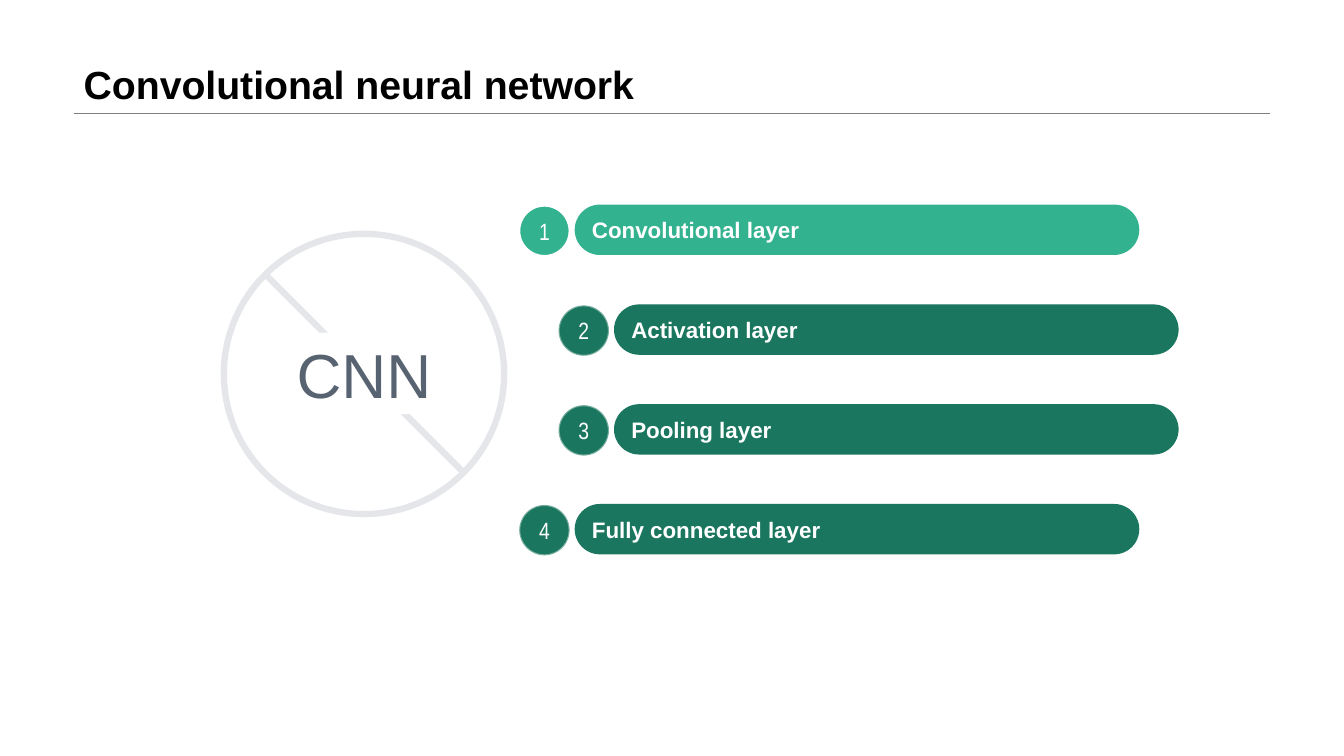
from dataclasses import dataclass

from lxml import etree
from pptx import Presentation
from pptx.dml.color import RGBColor
from pptx.enum.shapes import MSO_CONNECTOR, MSO_SHAPE
from pptx.enum.text import MSO_ANCHOR, PP_ALIGN
from pptx.oxml.ns import qn
from pptx.shapes.autoshape import Shape
from pptx.slide import Slide
from pptx.util import Inches, Pt

WHITE, BLACK, RULE_GREY = "FFFFFF", "000000", "808080"
RING_GREY, TEXT_GREY = "E4E6EA", "586371"
LIGHT_GREEN, DARK_GREEN = "33B290", "1A765E"

FIRST_TOP, PITCH = 2.03, 0.99
BAR_WIDTH, ROW_HEIGHT = 5.6, 0.5
BAR_OFFSET = 0.55  # from the left of a badge to the left of its bar


@dataclass
class Layer:
    name: str
    left: float
    color: str = DARK_GREEN
    outline_opacity: int = 40


LAYERS = [
    Layer("Convolutional layer", 5.15, LIGHT_GREEN, 100),
    Layer("Activation layer", 5.54),
    Layer("Pooling layer", 5.54),
    Layer("Fully connected layer", 5.15),
]


def rgb(color: str) -> RGBColor:
    return RGBColor.from_string(color)


def write_text(shape: Shape, text: str, *, size: float, color: str = WHITE,
               font: str = "Arial", bold: bool = False,
               align: PP_ALIGN = PP_ALIGN.CENTER,
               anchor: MSO_ANCHOR = MSO_ANCHOR.MIDDLE,
               wrap: bool = True, spacing: float = 1.0) -> None:
    frame = shape.text_frame
    frame.word_wrap = wrap
    frame.vertical_anchor = anchor
    paragraph = frame.paragraphs[0]
    paragraph.alignment = align
    paragraph.line_spacing = spacing
    run = paragraph.add_run()
    run.text = text
    run.font.name = font
    run.font.size = Pt(size)
    run.font.bold = bold
    run.font.color.rgb = rgb(color)


def add_block(slide: Slide, kind: MSO_SHAPE, left: float, top: float,
              width: float, height: float, *, fill: str | None = None,
              line: str | None = None, line_width: float = 1.5,
              line_opacity: int = 100) -> Shape:
    shape = slide.shapes.add_shape(
        kind, Inches(left), Inches(top), Inches(width), Inches(height))
    shape.shadow.inherit = False
    if fill:
        shape.fill.solid()
        shape.fill.fore_color.rgb = rgb(fill)
    else:
        shape.fill.background()
    if line:
        shape.line.color.rgb = rgb(line)
        shape.line.width = Pt(line_width)
        if line_opacity < 100:
            line_color = shape.line._get_or_add_ln().find(f".//{qn('a:srgbClr')}")
            alpha = etree.SubElement(line_color, qn("a:alpha"))
            alpha.set("val", str(line_opacity * 1000))
    else:
        shape.line.fill.background()
    return shape


def add_line(slide: Slide, start: tuple[float, float], end: tuple[float, float],
             color: str, width: float) -> None:
    connector = slide.shapes.add_connector(
        MSO_CONNECTOR.STRAIGHT, *map(Inches, start + end))
    connector.line.color.rgb = rgb(color)
    connector.line.width = Pt(width)
    etree.SubElement(connector._element.spPr, qn("a:effectLst"))


def add_title(slide: Slide, text: str) -> None:
    title = slide.shapes.title
    title.left, title.top = Inches(0.73), Inches(0)
    title.width, title.height = Inches(11.87), Inches(1.12)
    write_text(title, text, size=28, color=BLACK, bold=True, spacing=0.9,
               align=PP_ALIGN.LEFT, anchor=MSO_ANCHOR.BOTTOM)
    add_line(slide, (0.73, 1.12), (12.6, 1.12), RULE_GREY, 0.25)


def add_emblem(slide: Slide, text: str) -> None:
    add_line(slide, (2.63, 2.72), (4.6, 4.69), RING_GREY, 4.5)
    add_block(slide, MSO_SHAPE.OVAL, 2.22, 2.32, 2.78, 2.78,
              line=RING_GREY, line_width=4.5)
    label = add_block(slide, MSO_SHAPE.RECTANGLE, 2.41, 3.3, 2.4, 0.81, fill=WHITE)
    write_text(label, text, size=44.4, color=TEXT_GREY)


def add_layer(slide: Slide, number: int, layer: Layer) -> None:
    top = FIRST_TOP + (number - 1) * PITCH
    badge = add_block(slide, MSO_SHAPE.OVAL, layer.left, top + 0.01,
                      ROW_HEIGHT, ROW_HEIGHT, fill=layer.color, line=WHITE,
                      line_opacity=layer.outline_opacity)
    write_text(badge, str(number), size=16.8, font="Arial Narrow", wrap=False)
    bar = add_block(slide, MSO_SHAPE.ROUNDED_RECTANGLE, layer.left + BAR_OFFSET,
                    top, BAR_WIDTH, ROW_HEIGHT, fill=layer.color)
    bar.adjustments[0] = 0.5
    write_text(bar, layer.name, size=16, bold=True, align=PP_ALIGN.LEFT)


def main() -> None:
    presentation = Presentation()
    presentation.slide_width = Inches(13.33)
    presentation.slide_height = Inches(7.5)
    title_only = presentation.slide_layouts[5]
    slide = presentation.slides.add_slide(title_only)

    # Title and rule
    add_title(slide, "Convolutional neural network")

    # Ring with the abbreviation
    add_emblem(slide, "CNN")

    # Numbered layers
    for number, layer in enumerate(LAYERS, start=1):
        add_layer(slide, number, layer)

    presentation.save("out.pptx")


if __name__ == "__main__":
    main()
